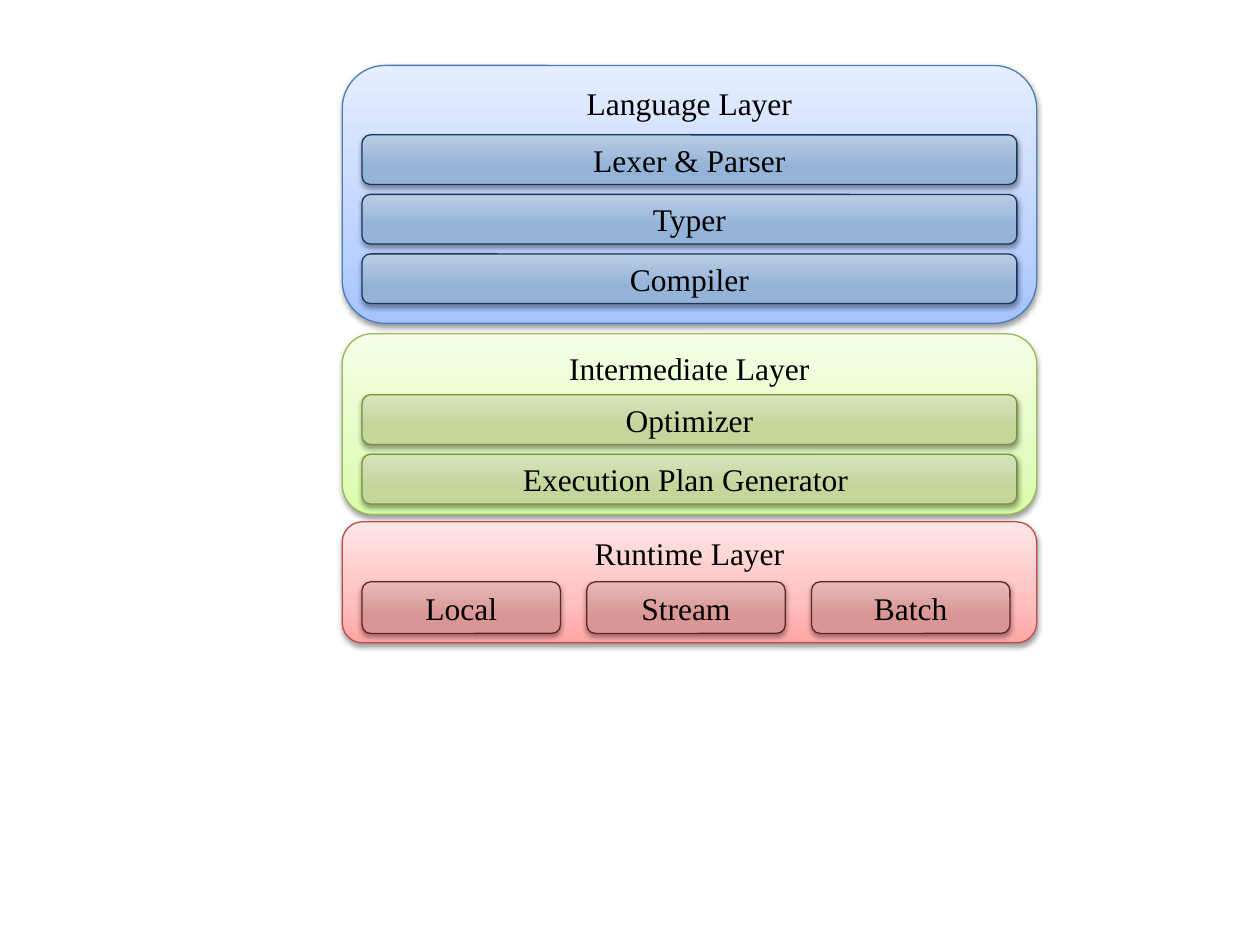
from dataclasses import dataclass

from lxml import etree
from pptx import Presentation
from pptx import util as u
from pptx.dml.color import RGBColor
from pptx.enum import shapes, text
from pptx.oxml.ns import qn


@dataclass(frozen=True)
class Theme:
    font: str = "Times New Roman"
    size: float = 18
    ink: str = "000000"
    line_width: float = 0.75
    stops: tuple = (0, 35, 100)
    shadow_opacity: int = 38


theme = Theme()

layers = [
    {
        "title": "Language Layer", "top": 1.32, "height": 5.2,
        "fill": ("A4C4FF", "BFD4FF", "E6EEFF"), "line": "4B7EBC",
        "parts": ["Lexer & Parser", "Typer", "Compiler"],
        "part_top": 2.72, "part_size": (13.2, 1.0), "step": (0, 1.2),
        "part_fill": ("95B3D7", "95B3D7", "B9CDE5"), "part_line": "17375E",
    },
    {
        "title": "Intermediate Layer", "top": 6.73, "height": 3.64,
        "fill": ("DAFDA7", "E4FCC2", "F5FFE7"), "line": "98B955",
        "parts": ["Optimizer", "Execution Plan Generator "],
        "part_top": 7.96, "part_size": (13.2, 1.0), "step": (0, 1.2),
        "part_fill": ("C3D69B", "C3D69B", "D7E4BD"), "part_line": "77933C",
    },
    {
        "title": "Runtime Layer", "top": 10.52, "height": 2.44,
        "fill": ("FFA6A5", "FFC0BF", "FFE7E7"), "line": "BF4C48",
        "parts": ["Local", "Stream", "Batch"],
        "part_top": 11.73, "part_size": (4.0, 1.04), "step": (4.53, 0),
        "part_fill": ("D99694", "D99694", "E6B9B8"), "part_line": "632523",
    },
]
layer_left, layer_width, part_left = 6.9, 14.0, 7.3

presentation = Presentation()
presentation.slide_width = u.Cm(25.4)
presentation.slide_height = u.Cm(19.05)
slide = presentation.slides.add_slide(presentation.slide_layouts[6])


def add_color(parent, color):
    return etree.SubElement(parent, qn("a:srgbClr"), val=color)


def set_gradient(shape, colors):
    shape.fill.gradient()
    shape.fill.gradient_angle = 90
    stop_list = shape.element.spPr.find(".//" + qn("a:gsLst"))
    for stop in list(stop_list):
        stop_list.remove(stop)
    for position, color in zip(theme.stops, colors):
        stop = etree.SubElement(stop_list, qn("a:gs"), pos=str(position * 1000))
        add_color(stop, color)


def set_shadow(shape):
    shape.shadow.inherit = False
    effects = shape.element.spPr.find(qn("a:effectLst"))
    shadow = etree.SubElement(
        effects, qn("a:outerShdw"), blurRad="40000", dist="20000",
        dir="5400000", rotWithShape="0")
    color = add_color(shadow, theme.ink)
    etree.SubElement(color, qn("a:alpha"), val=str(theme.shadow_opacity * 1000))


def add_box(label, left, top, width, height, colors, line, anchor):
    shape = slide.shapes.add_shape(
        shapes.MSO_SHAPE.ROUNDED_RECTANGLE,
        u.Cm(left), u.Cm(top), u.Cm(width), u.Cm(height))
    set_gradient(shape, colors)
    shape.line.color.rgb = RGBColor.from_string(line)
    shape.line.width = u.Pt(theme.line_width)
    set_shadow(shape)
    frame = shape.text_frame
    frame.word_wrap = True
    frame.vertical_anchor = anchor
    paragraph = frame.paragraphs[0]
    paragraph.alignment = text.PP_ALIGN.CENTER
    run = paragraph.add_run()
    run.text = label
    run.font.name = theme.font
    run.font.size = u.Pt(theme.size)
    run.font.color.rgb = RGBColor.from_string(theme.ink)


for layer in layers:
    add_box(layer["title"], layer_left, layer["top"], layer_width,
            layer["height"], layer["fill"], layer["line"], text.MSO_ANCHOR.TOP)
    step_x, step_y = layer["step"]
    for index, part in enumerate(layer["parts"]):
        add_box(part, part_left + index * step_x,
                layer["part_top"] + index * step_y, *layer["part_size"],
                layer["part_fill"], layer["part_line"], text.MSO_ANCHOR.MIDDLE)

presentation.save("out.pptx")
